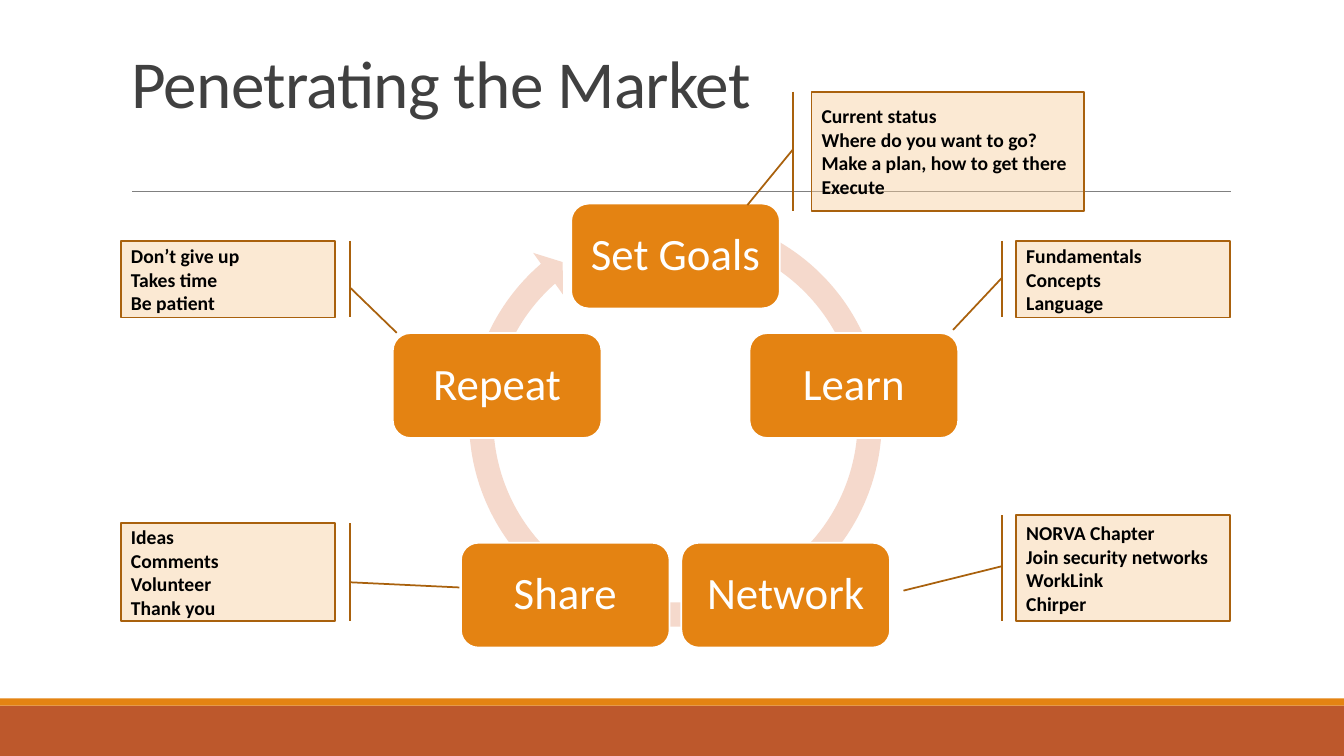
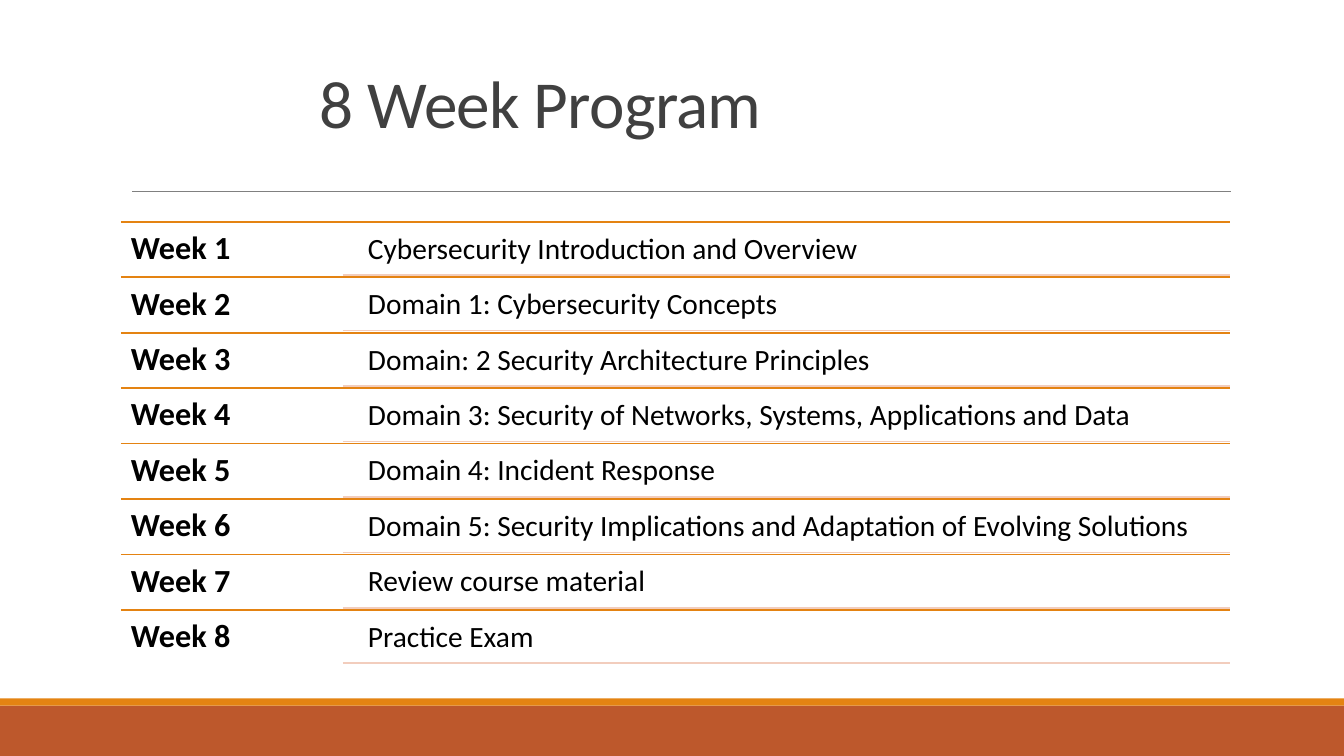
from dataclasses import dataclass
from math import cos, radians, sin

from lxml import etree
from pptx import Presentation
from pptx.dml.color import RGBColor
from pptx.enum.shapes import MSO_CONNECTOR, MSO_SHAPE
from pptx.enum.text import MSO_ANCHOR, MSO_AUTO_SIZE, PP_ALIGN
from pptx.oxml.ns import qn
from pptx.util import Inches, Pt

RECTANGLE = MSO_SHAPE.RECTANGLE
ROUNDED = MSO_SHAPE.ROUNDED_RECTANGLE
CIRCULAR_ARROW = MSO_SHAPE.CIRCULAR_ARROW
CALLOUT = MSO_SHAPE.LINE_CALLOUT_1_BORDER_AND_ACCENT_BAR
STRAIGHT = MSO_CONNECTOR.STRAIGHT
TOP, MIDDLE, BOTTOM = MSO_ANCHOR.TOP, MSO_ANCHOR.MIDDLE, MSO_ANCHOR.BOTTOM
LEFT, CENTER = PP_ALIGN.LEFT, PP_ALIGN.CENTER
NO_AUTOFIT = MSO_AUTO_SIZE.NONE
TITLE_ONLY = 5


@dataclass(frozen=True)
class Theme:
    font: str = "Calibri"
    title_color: str = "404040"
    text: str = "000000"
    white: str = "FFFFFF"
    orange: str = "E48312"
    rust: str = "BD582C"
    ring: str = "F5D9CC"
    rule: str = "808080"
    row_rule: str = "F2CDBD"
    callout_fill: str = "F7CE9D"
    callout_line: str = "A9610D"
    callout_opacity: int = 44
    title_size: int = 48
    node_size: int = 32
    week_size: int = 23
    topic_size: int = 21
    callout_size: int = 14
    line_width: float = 1.25
    rule_width: float = 0.5


@dataclass(frozen=True)
class Box:
    left: float
    top: float
    width: float
    height: float

    def inches(self):
        return [Inches(value) for value in (self.left, self.top, self.width, self.height)]


THEME = Theme()
SLIDE_WIDTH, SLIDE_HEIGHT = 13.33, 7.5
CONTENT_LEFT, CONTENT_WIDTH = 1.2, 11

CYCLE_STEPS = ["Set Goals", "Learn", "Network", "Share", "Repeat"]
SIDE_CALLOUT_WIDTH = 2.12
RIGHT_COLUMN = CONTENT_WIDTH - SIDE_CALLOUT_WIDTH
CALLOUTS = [
    (Box(RIGHT_COLUMN, 4.2, SIDE_CALLOUT_WIDTH, 1.05), (0.484, -0.068, 0.714, -0.528),
     ["NORVA Chapter", "Join security networks", "WorkLink", "Chirper"]),
    (Box(RIGHT_COLUMN, 1.48, SIDE_CALLOUT_WIDTH, 0.76), (0.484, -0.068, 1.162, -0.296),
     ["Fundamentals", "Concepts", "Language"]),
    (Box(0, 4.28, SIDE_CALLOUT_WIDTH, 0.97), (0.605, 1.07, 0.658, 1.583),
     ["Ideas", "Comments", "Volunteer", "Thank you"]),
    (Box(0, 1.48, SIDE_CALLOUT_WIDTH, 0.76), (0.605, 1.07, 1.2, 1.29),
     ["Don’t give up", "Takes time", "Be patient"]),
    (Box(6.85, 0, 2.7, 1.18), (0.484, -0.068, 0.953, -0.236),
     ["Current status", "Where do you want to go?", "Make a plan, how to get there", "Execute"]),
]
WEEK_TOPICS = [
    "Cybersecurity Introduction and Overview",
    "Domain 1: Cybersecurity Concepts",
    "Domain: 2 Security Architecture Principles",
    "Domain 3: Security of Networks, Systems, Applications and Data",
    "Domain 4: Incident Response",
    "Domain 5: Security Implications and Adaptation of Evolving Solutions",
    "Review course material",
    "Practice Exam",
]


def rgb(color):
    return RGBColor.from_string(color)


def add_shape(slide, kind, box, fill, line=None, adjustments=()):
    shape = slide.shapes.add_shape(kind, *box.inches())
    shape.shadow.inherit = False
    shape.fill.solid()
    shape.fill.fore_color.rgb = rgb(fill)
    if line:
        shape.line.color.rgb = rgb(line)
        shape.line.width = Pt(THEME.line_width)
    else:
        shape.line.fill.background()
    for index, value in enumerate(adjustments):
        shape.adjustments[index] = value
    return shape


def add_rule(slide, left, top, width, color, weight=THEME.line_width):
    rule = slide.shapes.add_connector(
        STRAIGHT, Inches(left), Inches(top), Inches(left + width), Inches(top))
    rule.line.color.rgb = rgb(color)
    rule.line.width = Pt(weight)
    etree.SubElement(rule.element.spPr, qn("a:effectLst"))
    return rule


def write_text(shape, lines, size, color, bold=False, align=LEFT, anchor=MIDDLE,
               spacing=1.0, inset=0.1):
    frame = shape.text_frame
    frame.word_wrap = True
    frame.auto_size = NO_AUTOFIT
    frame.vertical_anchor = anchor
    frame.margin_left = frame.margin_right = Inches(inset)
    frame.text = "\n".join(lines)
    for paragraph in frame.paragraphs:
        paragraph.alignment = align
        paragraph.line_spacing = spacing
        paragraph.font.name = THEME.font
        paragraph.font.size = Pt(size)
        paragraph.font.bold = bold
        paragraph.font.color.rgb = rgb(color)


def add_label(slide, box, text, size, bold=False, inset=0.1):
    label = slide.shapes.add_textbox(*box.inches())
    write_text(label, [text], size, THEME.text, bold, anchor=TOP, spacing=0.9, inset=inset)
    label.text_frame.margin_top = label.text_frame.margin_bottom = Inches(inset)


def decorate_layout(layout, slide):
    parts = [
        add_shape(slide, RECTANGLE, Box(0, 7, SLIDE_WIDTH, 0.5), THEME.rust),
        add_shape(slide, RECTANGLE, Box(0, 6.93, SLIDE_WIDTH, 0.07), THEME.orange),
        add_rule(slide, 1.31, 1.9, 10.9, THEME.rule, THEME.rule_width),
    ]
    for number, part in enumerate(parts, start=101):
        part.element.xpath(".//p:cNvPr")[0].set("id", str(number))
        layout.shapes.element.append(part.element)


def set_title(slide, box, text, indent=0):
    title = slide.shapes.title
    title.left, title.top, title.width, title.height = box.inches()
    write_text(title, [text], THEME.title_size, THEME.title_color, anchor=BOTTOM, spacing=0.85)
    paragraph = title.text_frame.paragraphs[0]
    paragraph.runs[0].font.element.set("spc", "-50") if hasattr(
        paragraph.runs[0].font, "element") else paragraph.runs[0]._r.get_or_add_rPr().set("spc", "-50")
    paragraph._p.get_or_add_pPr().set("marL", str(Inches(indent)))


def add_cycle(slide, box):
    add_shape(slide, CIRCULAR_ARROW, box, THEME.ring,
              adjustments=(0.055, 3.307, 137.407, 174.074, 0.058))
    node_width, node_height, radius = 2.07, 1.04, 1.86
    center_x = box.left + box.width / 2
    center_y = box.top + box.height / 2 + 0.23
    for index, step in enumerate(CYCLE_STEPS):
        angle = radians(360 / len(CYCLE_STEPS) * index)
        node_box = Box(center_x + radius * sin(angle) - node_width / 2,
                       center_y - radius * cos(angle) - node_height / 2,
                       node_width, node_height)
        node = add_shape(slide, ROUNDED, node_box, THEME.orange, THEME.white)
        write_text(node, [step], THEME.node_size, THEME.white, align=CENTER, spacing=0.9)


def add_callouts(slide, left, top):
    for offset, adjustments, lines in CALLOUTS:
        box = Box(left + offset.left, top + offset.top, offset.width, offset.height)
        callout = add_shape(slide, CALLOUT, box, THEME.callout_fill,
                            THEME.callout_line, adjustments)
        color = callout.element.spPr.find(qn("a:solidFill"))[0]
        etree.SubElement(color, qn("a:alpha")).set("val", str(THEME.callout_opacity * 1000))
        write_text(callout, lines, THEME.callout_size, THEME.text, bold=True)


def add_schedule(slide, box):
    row_height = box.height / len(WEEK_TOPICS)
    week_width = box.width / 5
    topic_indent, topic_height = 0.16, 0.5
    topic_left = box.left + week_width
    topic_width = box.width - week_width
    for index, topic in enumerate(WEEK_TOPICS):
        top = box.top + index * row_height
        topic_top = top + 0.03
        add_rule(slide, box.left, top, box.width, THEME.orange)
        add_label(slide, Box(box.left, top, week_width, row_height),
                  f"Week {index + 1}", THEME.week_size, bold=True)
        add_label(slide, Box(topic_left + topic_indent, topic_top,
                             topic_width - topic_indent, topic_height),
                  topic, THEME.topic_size, inset=0.09)
        add_rule(slide, topic_left, topic_top + topic_height, topic_width, THEME.row_rule)


def build_market_slide(slide):
    set_title(slide, Box(CONTENT_LEFT, 0.31, CONTENT_WIDTH, 0.95), "Penetrating the Market")
    add_cycle(slide, Box(4.52, 1.99, 4.36, 4.36))
    add_callouts(slide, CONTENT_LEFT, 0.91)


def build_program_slide(slide):
    set_title(slide, Box(CONTENT_LEFT, 0.31, CONTENT_WIDTH, 1.15), "8 Week Program", indent=1.87)
    add_schedule(slide, Box(CONTENT_LEFT, 2.2, CONTENT_WIDTH, 4.4))


def main():
    presentation = Presentation()
    presentation.slide_width = Inches(SLIDE_WIDTH)
    presentation.slide_height = Inches(SLIDE_HEIGHT)
    layout = presentation.slide_layouts[TITLE_ONLY]
    market_slide = presentation.slides.add_slide(layout)
    decorate_layout(layout, market_slide)
    build_market_slide(market_slide)
    build_program_slide(presentation.slides.add_slide(layout))
    presentation.save("out.pptx")


if __name__ == "__main__":
    main()
